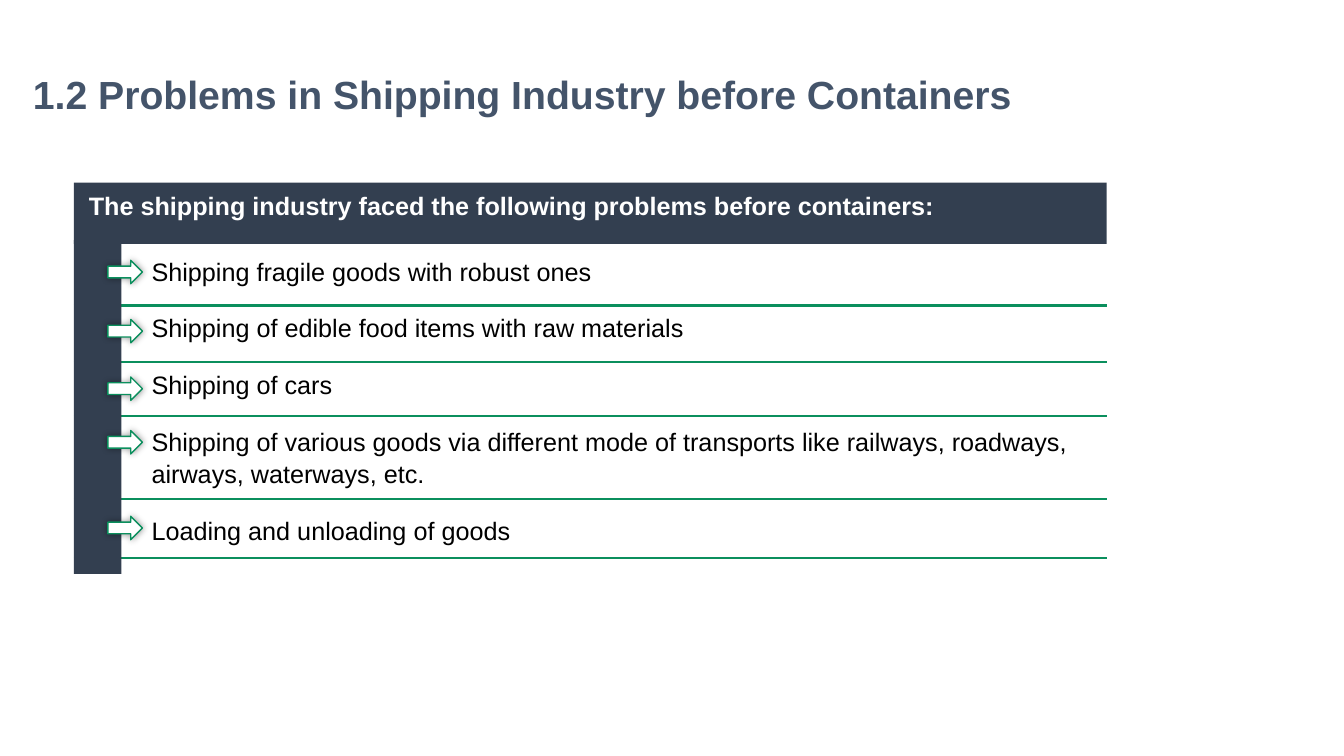
from lxml import etree
from pptx import Presentation
from pptx.dml.color import RGBColor
from pptx.enum.shapes import MSO_CONNECTOR as Link, MSO_SHAPE as Kind
from pptx.enum.text import MSO_ANCHOR as Anchor, MSO_AUTO_SIZE as Fit, PP_ALIGN as Align
from pptx.oxml import parse_xml
from pptx.oxml.ns import nsdecls, qn
from pptx.util import Cm, Pt

NAVY = RGBColor(0x33, 0x3F, 0x50)
SLATE = RGBColor(0x44, 0x54, 0x6A)
GREEN = RGBColor(0x0B, 0x8F, 0x5D)
WHITE = RGBColor(0xFF, 0xFF, 0xFF)
BLACK = RGBColor(0, 0, 0)

TITLE = "1.2 Problems in Shipping Industry before Containers"
LEAD = "The shipping industry faced the following problems before containers:"
# Each problem with the tops of its arrow and its rule, in cm below the card top
ITEMS = [
    ("Shipping fragile goods with robust ones", 1.96, 3.1),
    ("Shipping of edible food items with raw materials", 3.45, 4.52),
    ("Shipping of cars", 4.9, 5.89),
    ("Shipping of various goods via different mode of transports like "
     "railways, roadways, airways, waterways, etc.", 6.25, 7.98),
    ("Loading and unloading of goods", 8.41, 9.47),
]
GLOW = (f'<a:effectLst {nsdecls("a")}><a:outerShdw blurRad="63500" dist="0" dir="0">'
        '<a:srgbClr val="000000"><a:alpha val="40000"/></a:srgbClr>'
        '</a:outerShdw></a:effectLst>')


def place(shape, x, y, w, h):
    shape.left, shape.top, shape.width, shape.height = Cm(x), Cm(y), Cm(w), Cm(h)


def set_frame(frame, left, top, anchor):
    frame.word_wrap = True
    frame.auto_size = Fit.NONE
    frame.vertical_anchor = anchor
    frame.margin_left, frame.margin_top = Cm(left), Cm(top)
    frame.margin_right, frame.margin_bottom = Cm(0.25), Cm(0.13)


def add_run(para, text, size, color, bold):
    run = para.add_run()
    run.text = text
    font = run.font
    font.name, font.size, font.bold = "Arial", Pt(size), bold
    font.color.rgb = color


def add_block(slide, kind, fill, x, y, w, h):
    block = slide.shapes.add_shape(kind, Cm(x), Cm(y), Cm(w), Cm(h))
    block.shadow.inherit = False
    block.fill.solid()
    block.fill.fore_color.rgb = fill
    block.line.fill.background()
    return block


def add_rule(slide, x, y, w):
    rule = slide.shapes.add_connector(Link.STRAIGHT, Cm(x), Cm(y), Cm(x + w), Cm(y))
    rule.line.color.rgb = GREEN
    rule.line.width = Pt(1.5)
    etree.SubElement(rule.element.spPr, qn("a:effectLst"))


def add_arrow(slide, x, y):
    arrow = add_block(slide, Kind.RIGHT_ARROW, WHITE, x, y, 0.87, 0.59)
    arrow.line.color.rgb = GREEN
    arrow.line.width = Pt(1)
    props = arrow.element.spPr
    props.replace(props.find(qn("a:effectLst")), parse_xml(GLOW))


def add_para(frame, first, indent):
    """Give a paragraph without bullet, indented by the given cm."""
    para = frame.paragraphs[0] if first else frame.add_paragraph()
    props = para._p.get_or_add_pPr()
    props.set("marL", str(Cm(indent)))
    props.set("indent", "0")
    etree.SubElement(props, qn("a:buNone"))
    para.alignment = Align.LEFT
    para.line_spacing = 1.07
    para.space_before = Pt(0 if first else 17.5)
    para.space_after = Pt(6 if first else 0)
    return para


def fill_title(title, x, y, w, h):
    place(title, x, y, w, h)
    frame = title.text_frame
    set_frame(frame, 0.25, 0.13, Anchor.MIDDLE)
    para = frame.paragraphs[0]
    para.alignment = Align.LEFT
    para.line_spacing = 0.9
    add_run(para, TITLE, 28, SLATE, True)


def fill_list(body, x, y, w, h):
    place(body, x, y, w, h)
    frame = body.text_frame
    set_frame(frame, 0, 0, Anchor.TOP)
    add_run(add_para(frame, True, 0), LEAD, 18, WHITE, True)
    for text, _, _ in ITEMS:
        add_run(add_para(frame, False, 1.58), text, 18, BLACK, False)


def add_card(slide, body, x, y, w, h):
    add_block(slide, Kind.RECTANGLE, NAVY, x, y, w, 1.55)
    slide.shapes.element.append(body.element)  # bring the list above the header
    fill_list(body, x + 0.38, y + 0.15, w + 0.23, h + 0.4)
    for _, _, line in ITEMS:
        add_rule(slide, x, y + line, w)
    add_block(slide, Kind.RECTANGLE, NAVY, x, y + 1.45, 1.2, h - 1.45)
    for _, top, _ in ITEMS:
        add_arrow(slide, x + 0.86, y + top)


def main():
    deck = Presentation()
    deck.slide_width, deck.slide_height = Cm(33.87), Cm(19.05)
    slide = deck.slides.add_slide(deck.slide_layouts[1])
    fill_title(slide.shapes.title, 0.58, 1.75, 29.21, 1.37)
    add_card(slide, slide.placeholders[1], 1.86, 4.6, 26.03, 9.86)
    deck.save("out.pptx")


if __name__ == "__main__":
    main()
